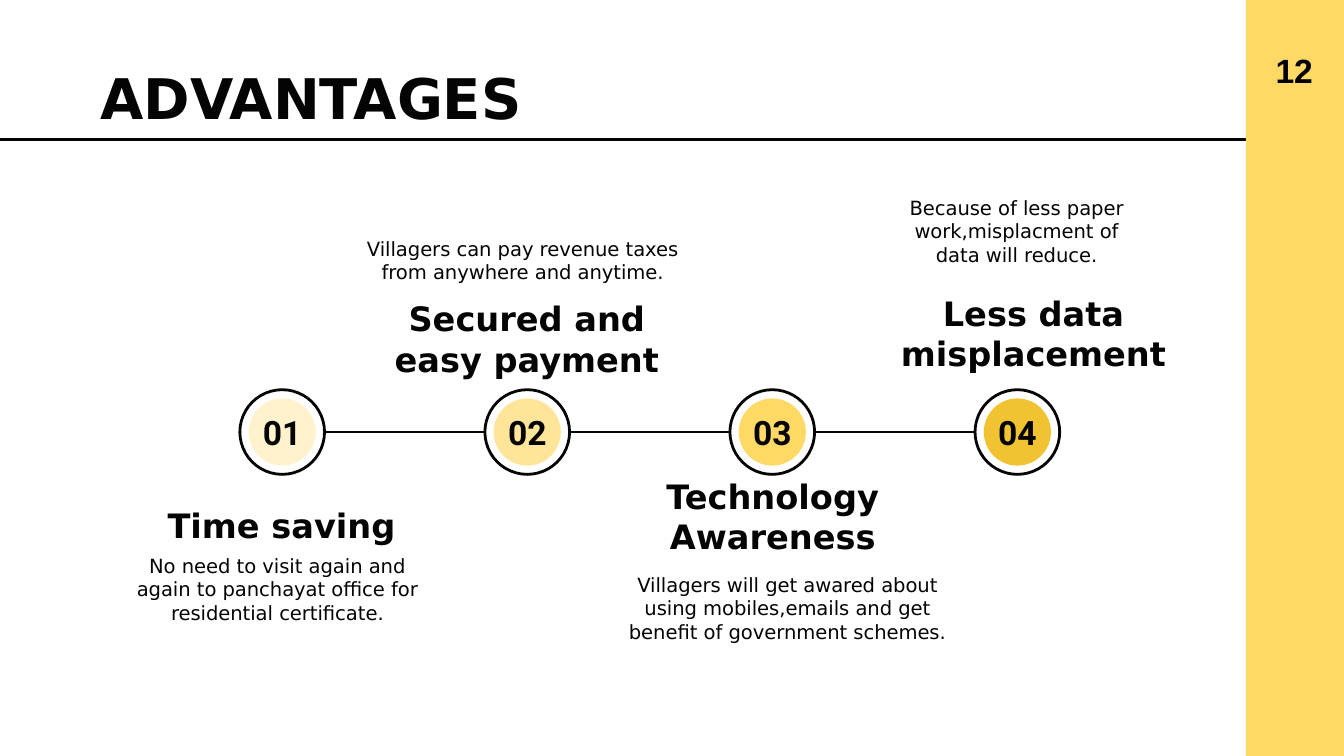
from lxml import etree
from pptx import Presentation
from pptx.dml.color import RGBColor
from pptx.enum import shapes, text
from pptx.oxml.ns import qn
from pptx.util import Inches, Pt

INK = "040404"
GOLD = "FFD966"
BODY_FONT = "DejaVu Sans"
TOP, MIDDLE, BOTTOM = (text.MSO_ANCHOR.TOP, text.MSO_ANCHOR.MIDDLE,
                       text.MSO_ANCHOR.BOTTOM)

# Slide in the 16:9 format
WIDTH = 10
HEIGHT = WIDTH * 9 / 16

# Timeline geometry
RING, DISC = 0.63, 0.5
RING_TOP = 2.9
AXIS_Y = RING_TOP + RING / 2
FIRST_CENTER, LAST_CENTER = 2.1, 7.57

# Number, disc colour, heading, its box, detail, its box, above the axis?
ADVANTAGES = [
    ("01", "FFF2CC", "Time saving", (0.96, 3.53, 2.27, 0.63),
     "No need to visit again and again to panchayat office for "
     "residential certificate.", (0.9, 4.02, 2.33, 0.96), False),
    ("02", "FFE599", "Secured and easy payment", (2.58, 2.12, 2.68, 0.69),
     "Villagers can pay revenue taxes from anywhere and anytime.",
     (2.49, 1.27, 2.8, 0.94), True),
    ("03", GOLD, "Technology Awareness", (4.4, 3.61, 2.7, 0.63),
     "Villagers will get awared about using mobiles,emails and get "
     "benefit of government schemes.", (4.47, 4.16, 2.78, 0.82), False),
    ("04", "F1C232", "Less data misplacement", (6.55, 2.08, 2.28, 0.63),
     "Because of less paper work,misplacment of data will reduce.",
     (6.55, 1.36, 2.03, 0.72), True),
]
STEP = (LAST_CENTER - FIRST_CENTER) / (len(ADVANTAGES) - 1)


def color(hex_value):
    return RGBColor.from_string(hex_value)


def add_label(slide, words, box, size, font=BODY_FONT, bold=True,
              anchor=TOP, align=text.PP_ALIGN.CENTER, ink=INK):
    label = slide.shapes.add_textbox(*map(Inches, box))
    frame = label.text_frame
    frame.word_wrap = True
    frame.vertical_anchor = anchor
    frame.margin_left = frame.margin_right = Inches(0.1)
    frame.margin_top = frame.margin_bottom = Inches(0.1)
    frame.text = words
    paragraph = frame.paragraphs[0]
    paragraph.alignment = align
    style = paragraph.runs[0].font
    style.name, style.size, style.bold = font, Pt(size), bold
    style.color.rgb = color(ink)


def add_rule(slide, x1, x2, y):
    rule = slide.shapes.add_connector(shapes.MSO_CONNECTOR.STRAIGHT,
                                      Inches(x1), Inches(y),
                                      Inches(x2), Inches(y))
    rule.line.color.rgb = color(INK)
    rule.line.width = Pt(1.5)
    etree.SubElement(rule._element.spPr, qn("a:effectLst"))


def add_block(slide, kind, box, fill=None, outline=None):
    block = slide.shapes.add_shape(kind, *map(Inches, box))
    block.shadow.inherit = False
    if fill:
        block.fill.solid()
        block.fill.fore_color.rgb = color(fill)
    else:
        block.fill.background()
    if outline:
        block.line.color.rgb = color(outline)
        block.line.width = Pt(1.5)
    else:
        block.line.fill.background()


def add_circle(slide, center, diameter, **paint):
    box = (center - diameter / 2, AXIS_Y - diameter / 2, diameter, diameter)
    add_block(slide, shapes.MSO_SHAPE.OVAL, box, **paint)


def add_milestone(slide, center, number, shade):
    add_circle(slide, center, RING, outline=INK)
    add_circle(slide, center, DISC, fill=shade)
    add_label(slide, number, (center - 0.39, RING_TOP, 0.78, RING), 18,
              font="Roboto", anchor=MIDDLE)


def main():
    deck = Presentation()
    deck.slide_width, deck.slide_height = Inches(WIDTH), Inches(HEIGHT)
    slide = deck.slides.add_slide(deck.slide_layouts[6])

    # Title and its rule
    add_rule(slide, 0, WIDTH, 1.04)
    add_label(slide, "ADVANTAGES", (0.65, 0.37, 3.42, 0.74), 30,
              align=text.PP_ALIGN.LEFT)

    # Timeline with headings and details on alternate sides
    for index, (number, shade, heading, heading_box,
                detail, detail_box, above) in enumerate(ADVANTAGES):
        center = FIRST_CENTER + index * STEP
        if index:
            add_rule(slide, center - STEP + RING / 2, center - RING / 2,
                     AXIS_Y)
        add_milestone(slide, center, number, shade)
        add_label(slide, heading, heading_box, 18,
                  anchor=TOP if above else BOTTOM)
        add_label(slide, detail, detail_box, 10.5, bold=False,
                  anchor=BOTTOM if above else TOP)

    # Side band with the page number
    add_block(slide, shapes.MSO_SHAPE.RECTANGLE, (9.27, 0, 0.73, HEIGHT),
              fill=GOLD)
    add_label(slide, "12", (9.36, 0.31, 0.54, 0.43), 18, font="Arial",
              anchor=MIDDLE, ink="000000")

    deck.save("out.pptx")


if __name__ == "__main__":
    main()
